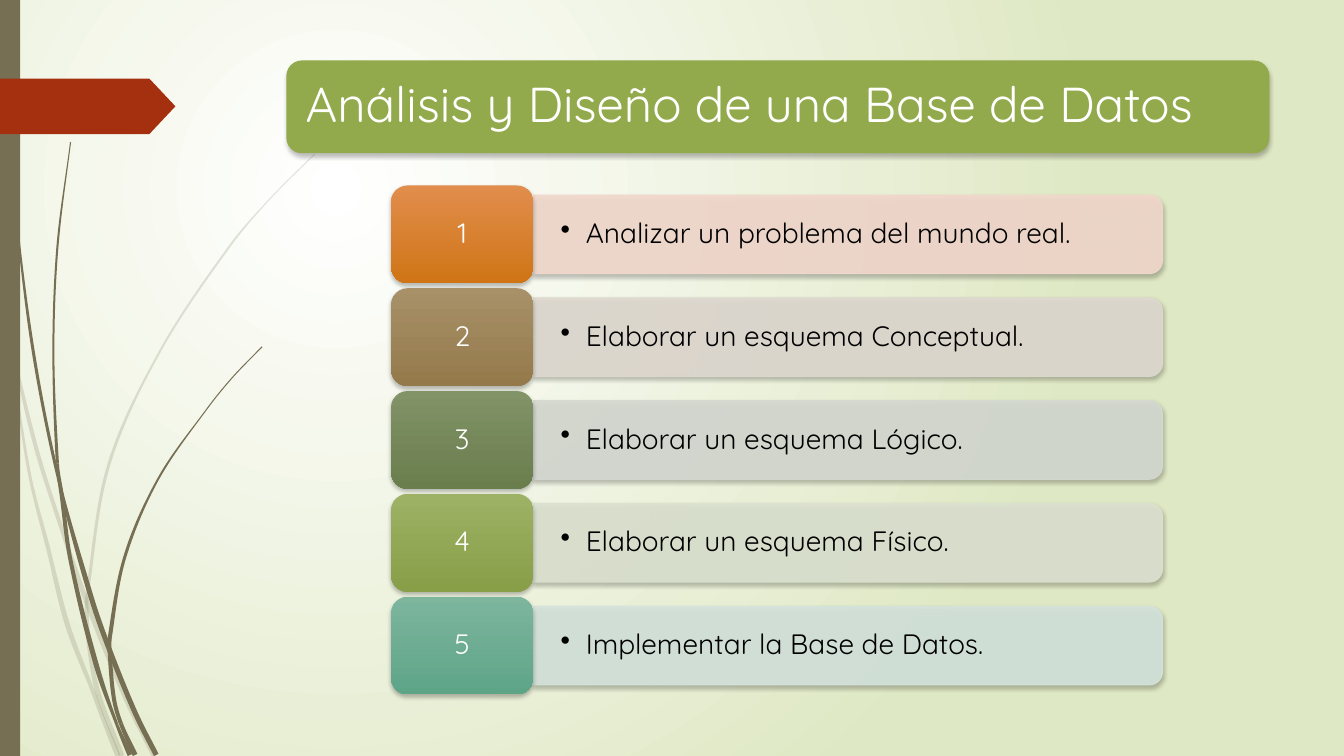
import math

import lxml.etree
import pptx
import pptx.dml.color
import pptx.enum.shapes
import pptx.enum.text
import pptx.oxml.ns
import pptx.util

WIDTH, HEIGHT = 13.33, 7.5
FONT = "Quicksand"
OLIVE = "766F54"
SHAPE = pptx.enum.shapes.MSO_SHAPE
ALIGN = pptx.enum.text.PP_ALIGN

STEPS_TOP, ROW_PITCH = 1.84, 1.02
NUMBER_LEFT, NUMBER_WIDTH, NUMBER_HEIGHT = 3.88, 1.41, 0.97
BAR_LEFT, BAR_WIDTH, BAR_HEIGHT = NUMBER_LEFT + NUMBER_WIDTH, 6.24, 0.78
TITLE_BOX = (2.84, 0.6, 9.75, 0.92)
STEPS = [
    ("Analizar un problema del mundo real.", "E18D4C", "CF7516", "F2D8CC"),
    ("Elaborar un esquema Conceptual.", "A89068", "947A4B", "DFD9D0"),
    ("Elaborar un esquema Lógico.", "819367", "6A7D4D", "D5D9D1"),
    ("Elaborar un esquema Físico.", "9DB265", "889E47", "DCE2D0"),
    ("Implementar la Base de Datos.", "7DB59D", "5EA588", "D4E3DC"),
]

# Each blade has (x, y, thickness) along its middle, and the points where it is jointed.
PALE_BLADES = [
    ([(0, 2.9, .08), (.13, 3.5, .03), (.36, 4.45, .04), (.6, 5.21, .04),
      (.86, 5.97, .05), (1.25, 6.93, .05), (1.53, 7.5, .05)], (1, 4)),
    ([(.11, 3.5, .01), (.29, 4.69, .03), (.48, 5.45, .04), (.67, 6.2, .05),
      (.93, 6.88, .04), (1.01, 7.1, .04), (1.17, 7.5, .05)], (5,)),
    ([(3.12, 1.53, .01), (2.68, 1.97, .01), (2.28, 2.44, .02), (1.59, 3.48, .02),
      (1.08, 4.61, .03), (.87, 5.86, .03), (.86, 6.08, .04), (.89, 6.46, .04),
      (.98, 6.9, .05), (1.21, 7.5, .05)], (5, 6, 8)),
]
DARK_BLADES = [
    ([(.03, 0, .01), (.07, 1.1, .01), (.18, 2.33, .02), (.34, 3.55, .03),
      (.58, 4.75, .03), (.9, 5.91, .05), (1.08, 6.43, .05), (1.34, 7.07, .05),
      (1.55, 7.49, .05)], (4, 6)),
    ([(.7, 1.41, .01), (.57, 2.45, .02), (.53, 3.49, .02), (.57, 4.6, .03),
      (.61, 4.9, .04), (.7, 5.56, .04), (.95, 6.58, .05), (1.16, 7.19, .03),
      (1.29, 7.49, .05)], (3, 4, 7)),
    ([(2.6, 3.44, .01), (2.31, 3.74, .01), (2.05, 4.06, .01), (1.57, 4.75, .02),
      (1.24, 5.52, .03), (1.09, 6.32, .04), (1.09, 6.5, .04), (1.13, 6.93, .04),
      (1.2, 7.18, .04), (1.34, 7.49, .05)], (5, 6, 8)),
]


def color(code):
    """Turn a hex string into a colour."""
    return pptx.dml.color.RGBColor.from_string(code)


def add_node(parent, tag, **attributes):
    """Append a drawing element to a parent and return it."""
    return lxml.etree.SubElement(parent, pptx.oxml.ns.qn(tag), attributes)


def set_opacity(shape, percent):
    """Make the fill and line of a shape partly transparent."""
    for shade in list(shape._element.spPr.iter(pptx.oxml.ns.qn("a:srgbClr"))):
        add_node(shade, "a:alpha", val=str(percent * 1000))


def cast_shadow(shape):
    """Give a shape a soft shadow just below it."""
    effects = shape._element.spPr.find(pptx.oxml.ns.qn("a:effectLst"))
    shadow = add_node(effects, "a:outerShdw", blurRad="38100", dist="25400",
                      dir="5400000", rotWithShape="0")
    shade = add_node(shadow, "a:srgbClr", val="000000")
    add_node(shade, "a:alpha", val="25000")


def blend(fill, start, end):
    """Fill with a gradient between two colours."""
    fill.gradient()
    for stop, code, position in zip(fill.gradient_stops, (start, end), (0, 1)):
        stop.color.rgb = color(code)
        stop.position = position


def paint_background(slide):
    """Spread a radial glow from the upper left of the slide."""
    blend(slide.background.fill, "FFFFFF", "DFE8C4")
    linear = next(slide._element.iter(pptx.oxml.ns.qn("a:lin")))
    gradient = linear.getparent()
    gradient.remove(linear)
    glow = add_node(gradient, "a:path", path="circle")
    add_node(glow, "a:fillToRect", l="50000", t="50000", r="100000", b="100000")


def paint(shape, code):
    """Give a shape a plain fill, no line and no shadow."""
    shape.shadow.inherit = False
    shape.fill.solid()
    shape.fill.fore_color.rgb = color(code)
    shape.line.fill.background()


def add_block(slide, kind, left, top, width, height, code):
    """Add a painted preset shape."""
    block = slide.shapes.add_shape(
        kind, *map(pptx.util.Inches, (left, top, width, height)))
    paint(block, code)
    return block


def write(shape, text, size, code, align, inset):
    """Write one centred-in-height line with equal side insets."""
    frame = shape.text_frame
    frame.word_wrap = True
    frame.auto_size = pptx.enum.text.MSO_AUTO_SIZE.NONE
    frame.vertical_anchor = pptx.enum.text.MSO_ANCHOR.MIDDLE
    frame.margin_left = frame.margin_right = pptx.util.Inches(inset)
    line = frame.paragraphs[0]
    line.text = text
    line.alignment = align
    line.line_spacing = 0.9
    line.font.name = FONT
    line.font.size = pptx.util.Pt(size)
    line.font.color.rgb = color(code)
    return line


def edge_points(points, side):
    """Return (x, y, heading) along one edge of a blade."""
    edge = []
    for i, (x, y, thickness) in enumerate(points):
        before, after = points[max(i - 1, 0)], points[min(i + 1, len(points) - 1)]
        heading = math.atan2(after[1] - before[1], after[0] - before[0])
        shift = side * thickness / 2
        edge.append((x - math.sin(heading) * shift, y + math.cos(heading) * shift,
                     heading))
    return edge


def bend(piece, line, start, end):
    """Turn a straight side of a freeform into a cubic curve."""
    reach = math.dist(start[:2], end[:2]) / 3
    curve = lxml.etree.Element(pptx.oxml.ns.qn("a:cubicBezTo"))
    for (x, y, heading), pull in ((start, reach), (end, -reach)):
        handle_x = pptx.util.Inches(x + pull * math.cos(heading)) - piece.left
        handle_y = pptx.util.Inches(y + pull * math.sin(heading)) - piece.top
        add_node(curve, "a:pt", x=str(handle_x), y=str(handle_y))
    curve.append(line[0])
    line.getparent().replace(line, curve)


def add_blade(slide, points, joints, opacity):
    """Draw a tapered blade of grass, one curved piece per joint."""
    right, left = edge_points(points, 1), edge_points(points, -1)
    stops = (0, *joints, len(points) - 1)
    for first, last in zip(stops, stops[1:]):
        back = [(x, y, heading + math.pi) for x, y, heading in left[first:last + 1]]
        outline = right[first:last + 1] + back[::-1]
        corners = [(pptx.util.Inches(x), pptx.util.Inches(y)) for x, y, _ in outline]
        builder = slide.shapes.build_freeform(*corners[0])
        builder.add_line_segments(corners[1:])
        piece = builder.convert_to_shape()
        lines = list(piece._element.iter(pptx.oxml.ns.qn("a:lnTo")))
        for i, (line, start, end) in enumerate(zip(lines, outline, outline[1:])):
            if i != last - first:
                bend(piece, line, start, end)
        paint(piece, OLIVE)
        set_opacity(piece, opacity)


def add_title(slide, text):
    """Place the title placeholder on a green rounded panel."""
    panel = add_block(slide, SHAPE.ROUNDED_RECTANGLE, *TITLE_BOX, "92AA4C")
    cast_shadow(panel)
    title = slide.shapes.title
    title.left, title.top, title.width, title.height = map(
        pptx.util.Inches, TITLE_BOX)
    write(title, text, 35, "FFFFFF", ALIGN.LEFT, 0.19)
    panel._element.addnext(title._element)


def add_step(slide, row, text, light, dark, pale):
    """Add a numbered tile and its bulleted bar on one row."""
    top = STEPS_TOP + row * ROW_PITCH
    middle = top + NUMBER_HEIGHT / 2
    bar = add_block(slide, SHAPE.ROUND_2_SAME_RECTANGLE,
                    BAR_LEFT + (BAR_WIDTH - BAR_HEIGHT) / 2,
                    middle - BAR_WIDTH / 2, BAR_HEIGHT, BAR_WIDTH, pale)
    bar.rotation = 90
    bar.line.color.rgb = color(pale)
    bar.line.width = pptx.util.Pt(0.75)
    set_opacity(bar, 90)
    cast_shadow(bar)

    label = slide.shapes.add_textbox(*map(
        pptx.util.Inches, (BAR_LEFT, middle - 0.35, BAR_WIDTH, 0.7)))
    line = write(label, text, 20, "000000", ALIGN.LEFT, 0.27)
    properties = line._p.get_or_add_pPr()
    properties.set("marL", str(pptx.util.Inches(0.25)))
    properties.set("indent", str(pptx.util.Inches(-0.25)))
    bullet = add_node(properties, "a:buChar", char="•")
    properties.find(pptx.oxml.ns.qn("a:defRPr")).addprevious(bullet)

    number = add_block(slide, SHAPE.ROUNDED_RECTANGLE, NUMBER_LEFT, top,
                       NUMBER_WIDTH, NUMBER_HEIGHT, light)
    blend(number.fill, light, dark)
    number.fill.gradient_angle = 270
    cast_shadow(number)
    write(number, str(row + 1), 20, "FFFFFF", ALIGN.CENTER, 0.13)


def main():
    """Build the slide and save it."""
    deck = pptx.Presentation()
    deck.slide_width = pptx.util.Inches(WIDTH)
    deck.slide_height = pptx.util.Inches(HEIGHT)
    slide = deck.slides.add_slide(deck.slide_layouts[5])
    paint_background(slide)
    for blades, opacity in ((PALE_BLADES, 20), (DARK_BLADES, 100)):
        for points, joints in blades:
            add_blade(slide, points, joints, opacity)
    add_block(slide, SHAPE.RECTANGLE, 0, 0, 0.2, HEIGHT, OLIVE)
    ribbon = add_block(slide, SHAPE.PENTAGON, 0, 0.78, 1.74, 0.55, "A53010")
    ribbon.adjustments[0] = 0.47
    for row, step in enumerate(STEPS):
        add_step(slide, row, *step)
    add_title(slide, "Análisis y Diseño de una Base de Datos")
    deck.save("out.pptx")


if __name__ == "__main__":
    main()
